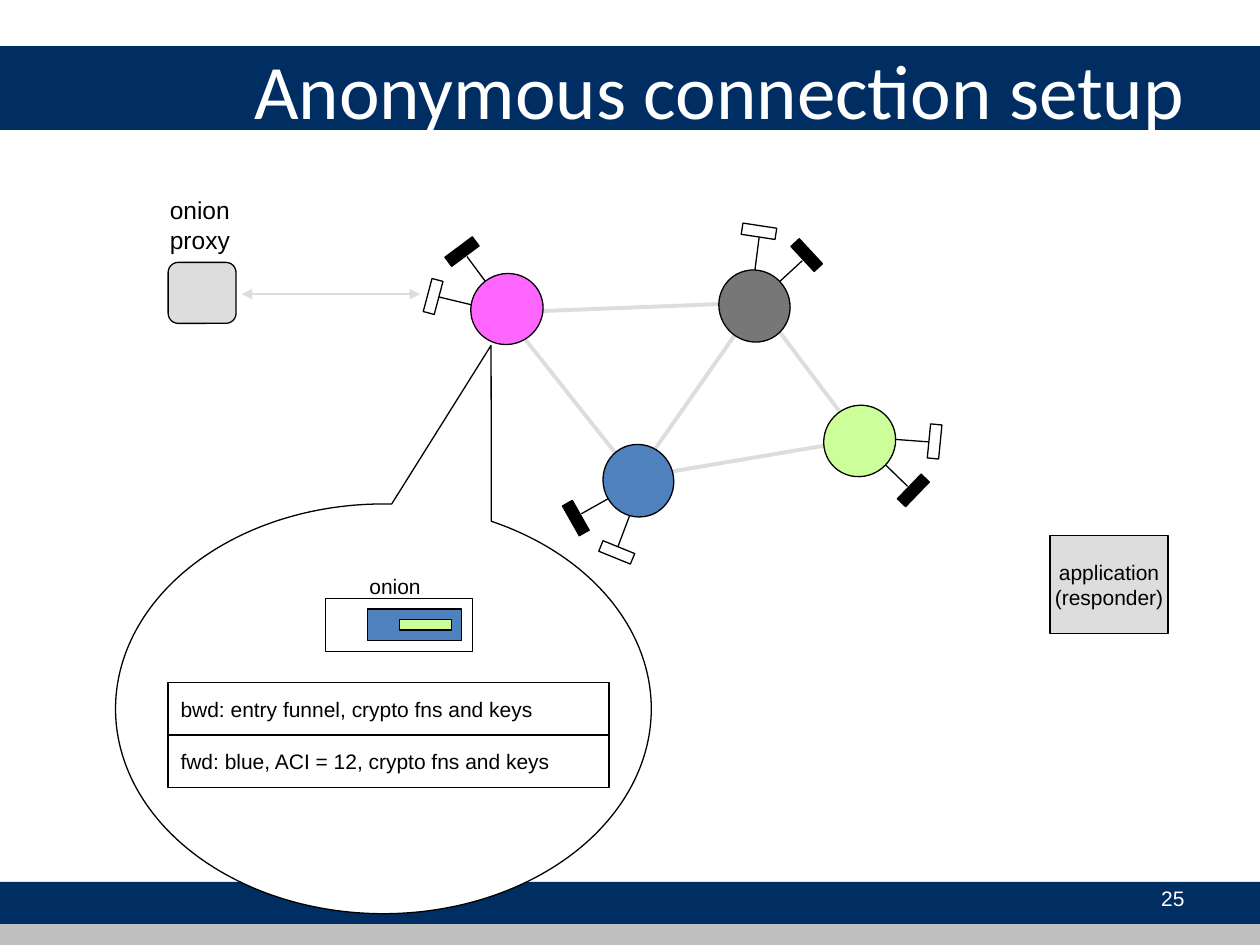
import math
from dataclasses import dataclass

import pptx
import pptx.util
import pptx.dml.color
import pptx.enum.shapes
import pptx.enum.text
import pptx.oxml.ns
from lxml import etree

Cm = pptx.util.Cm
Pt = pptx.util.Pt
RGBColor = pptx.dml.color.RGBColor
SHAPE = pptx.enum.shapes.MSO_SHAPE
ALIGN = pptx.enum.text.PP_ALIGN
ANCHOR = pptx.enum.text.MSO_ANCHOR
AUTO_SIZE = pptx.enum.text.MSO_AUTO_SIZE
qn = pptx.oxml.ns.qn

NAVY = RGBColor(0x00, 0x2E, 0x62)
SILVER = RGBColor(0xC0, 0xC0, 0xC0)
LIGHT = RGBColor(0xDD, 0xDD, 0xDD)
GRAY = RGBColor(0x77, 0x77, 0x77)
PINK = RGBColor(0xFF, 0x66, 0xFF)
BLUE = RGBColor(0x4F, 0x81, 0xBD)
GREEN = RGBColor(0xCC, 0xFF, 0x99)
BLACK = RGBColor(0, 0, 0)
WHITE = RGBColor(0xFF, 0xFF, 0xFF)


@dataclass
class Router:
    center: tuple
    port: tuple  # where its links meet
    turn: float  # degrees
    color: RGBColor


@dataclass
class Funnel:
    color: RGBColor
    turn: float  # relative to the router
    mouth: tuple  # (radius, angle) relative to the router
    stem: tuple  # two such points


ROUTERS = {
    "gray": Router((15.21, 6.17), (15.27, 6.1), 54, GRAY),
    "pink": Router((10.22, 6.23), (10.16, 6.3), 330.2, PINK),
    "blue": Router((12.87, 9.69), (12.8, 9.63), 247.4, BLUE),
    "green": Router((17.33, 8.89), (17.35, 8.86), 140.9, GREEN),
}
LINKS = [("pink", "blue"), ("pink", "gray"), ("gray", "green"),
         ("blue", "gray"), ("blue", "green")]
FUNNELS = [
    Funnel(BLACK, 83.1, (1.47, -98.3), ((1.33, -97.5), (0.46, -99))),
    Funnel(WHITE, 44.7, (1.51, -140.6), ((1.45, -140), (0.43, -148))),
]
ROWS = ["bwd: entry funnel, crypto fns and keys",
        "fwd: blue, ACI = 12, crypto fns and keys"]


def add_shape(shapes, kind, x, y, w, h, fill, line=BLACK, turn=0):
    s = shapes.add_shape(kind, Cm(x), Cm(y), Cm(w), Cm(h))
    s.shadow.inherit = False
    s.rotation = turn
    s.fill.solid()
    s.fill.fore_color.rgb = fill
    if line is None:
        s.line.fill.background()
    else:
        s.line.color.rgb = line
        s.line.width = Pt(0.75)
    return s


def add_centered(shapes, kind, center, w, h, fill, turn):
    x, y = center
    return add_shape(shapes, kind, x - w / 2, y - h / 2, w, h, fill, turn=turn)


def add_line(shapes, start, end, color, width, arrows=False):
    s = shapes.add_connector(pptx.enum.shapes.MSO_CONNECTOR.STRAIGHT,
                             *map(Cm, start + end))
    s.line.color.rgb = color
    s.line.width = Pt(width)
    if arrows:
        for tag in ("a:headEnd", "a:tailEnd"):
            etree.SubElement(s._element.spPr.find(qn("a:ln")), qn(tag),
                             type="triangle")
    etree.SubElement(s._element.spPr, qn("a:effectLst"))
    return s


def set_text(s, lines, size, color=BLACK, align=ALIGN.CENTER,
             anchor=ANCHOR.MIDDLE, font="Arial", wrap=False):
    tf = s.text_frame
    tf.word_wrap = wrap
    tf.vertical_anchor = anchor
    for i, line in enumerate(lines):
        p = tf.add_paragraph() if i else tf.paragraphs[0]
        p.text = line
        p.alignment = align
        p.font.name = font
        p.font.size = Pt(size)
        p.font.color.rgb = color


def add_text(shapes, x, y, w, h, lines, size, **style):
    s = shapes.add_textbox(Cm(x), Cm(y), Cm(w), Cm(h))
    set_text(s, lines, size, **style)
    return s


def add_label(shapes, x, y, w, h, lines, size):
    s = add_text(shapes, x, y, w, h, lines, size, anchor=ANCHOR.TOP)
    s.text_frame.auto_size = AUTO_SIZE.SHAPE_TO_FIT_TEXT
    return s


def polar(router, radius, angle):
    a = math.radians(router.turn + angle)
    x, y = router.center
    return x + radius * math.cos(a), y + radius * math.sin(a)


def add_router(shapes, router):
    for f in FUNNELS:
        start, end = (polar(router, *point) for point in f.stem)
        add_line(shapes, start, end, BLACK, 0.75)
    add_centered(shapes, SHAPE.OVAL, router.center, 1.47, 1.42,
                 router.color, router.turn)
    for f in FUNNELS:
        add_centered(shapes, SHAPE.RECTANGLE, polar(router, *f.mouth),
                     0.23, 0.69, f.color, (router.turn + f.turn) % 360)


def add_onion(shapes):
    group = shapes.add_group_shape().shapes
    add_shape(group, SHAPE.RECTANGLE, 6.56, 12.07, 2.96, 1.06, WHITE)
    add_shape(group, SHAPE.RECTANGLE, 7.41, 12.28, 1.9, 0.64, BLUE)
    add_shape(group, SHAPE.RECTANGLE, 8.05, 12.49, 1.06, 0.21, GREEN)
    add_label(group, 7.19, 11.43, 1.55, 0.76, ["onion"], 12)


def main():
    prs = pptx.Presentation()
    prs.slide_width, prs.slide_height = Cm(25.4), Cm(19.05)
    shapes = prs.slides.add_slide(prs.slide_layouts[6]).shapes

    # Bands, title and page number
    for y, h, color in [(17.78, 0.85, NAVY), (0.93, 1.69, NAVY),
                        (18.63, 0.42, SILVER)]:
        add_shape(shapes, SHAPE.RECTANGLE, 0, y, 25.4, h, color, line=None)
    add_text(shapes, 4.88, 0.2, 20.12, 3.18, ["Anonymous connection setup"], 44,
             color=WHITE, align=ALIGN.LEFT, font="Calibri", wrap=True)
    add_text(shapes, 18.21, 17.6, 5.92, 1.02, ["25"], 12,
             color=WHITE, align=ALIGN.RIGHT, wrap=True)

    # Callout of the pink router
    s = add_shape(shapes, SHAPE.OVAL_CALLOUT, 2.33, 10.16, 10.8, 8.26, WHITE)
    s.adjustments[0], s.adjustments[1] = 0.201, -0.887

    # Router network
    for a, b in LINKS:
        add_line(shapes, ROUTERS[a].port, ROUTERS[b].port, LIGHT, 2.25)
    for router in ROUTERS.values():
        add_router(shapes, router)

    # Endpoints
    s = add_shape(shapes, SHAPE.RECTANGLE, 21.17, 10.8, 2.38, 1.97, LIGHT)
    set_text(s, ["application", "(responder)"], 12)
    add_shape(shapes, SHAPE.ROUNDED_RECTANGLE, 3.39, 5.29, 1.37, 1.23, LIGHT)
    add_label(shapes, 3.13, 3.81, 1.8, 1.45, ["onion", "proxy"], 14)

    # Callout contents
    add_onion(shapes)
    for i, row in enumerate(ROWS):
        s = add_shape(shapes, SHAPE.RECTANGLE, 3.39, 13.76 + i * 1.06,
                      8.89, 1.06, WHITE)
        set_text(s, [row], 12, align=ALIGN.LEFT, wrap=True)

    # Proxy to entry funnel
    add_line(shapes, (4.87, 5.93), (8.47, 5.93), LIGHT, 1.5, arrows=True)

    prs.save("out.pptx")


if __name__ == "__main__":
    main()
